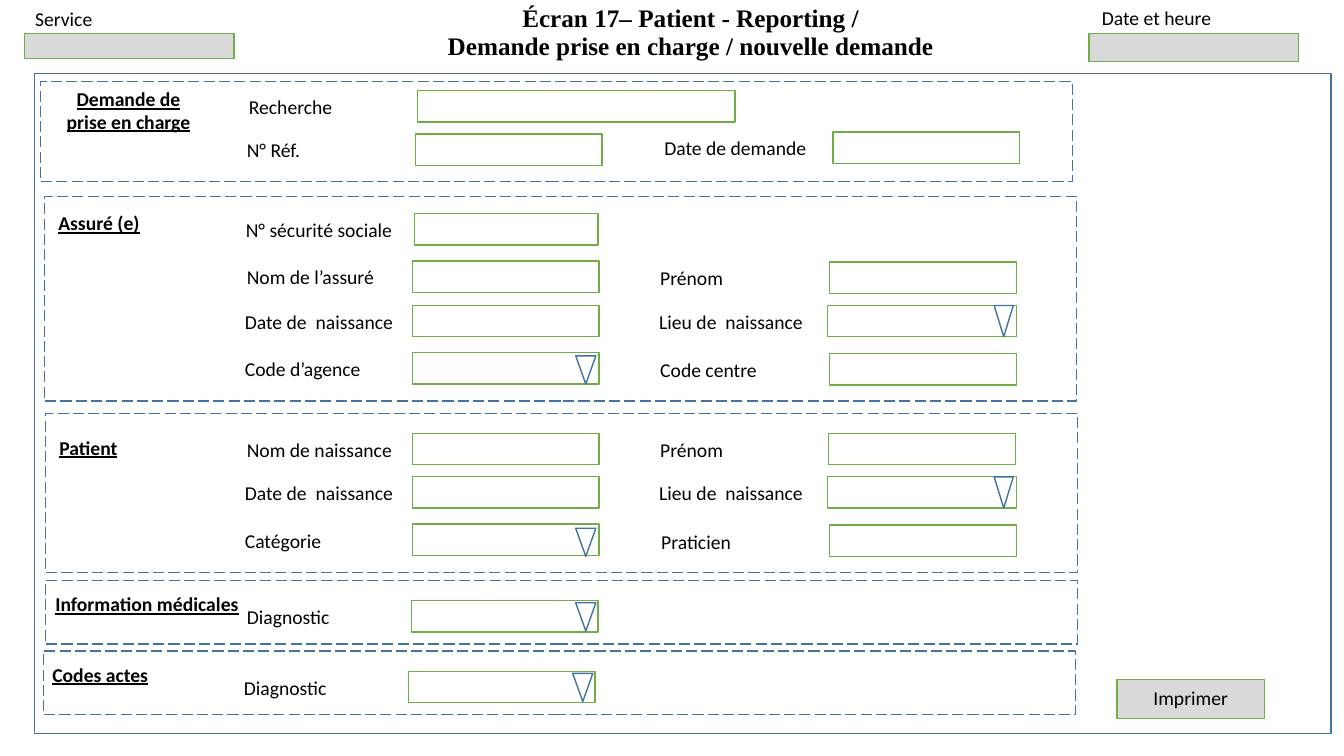
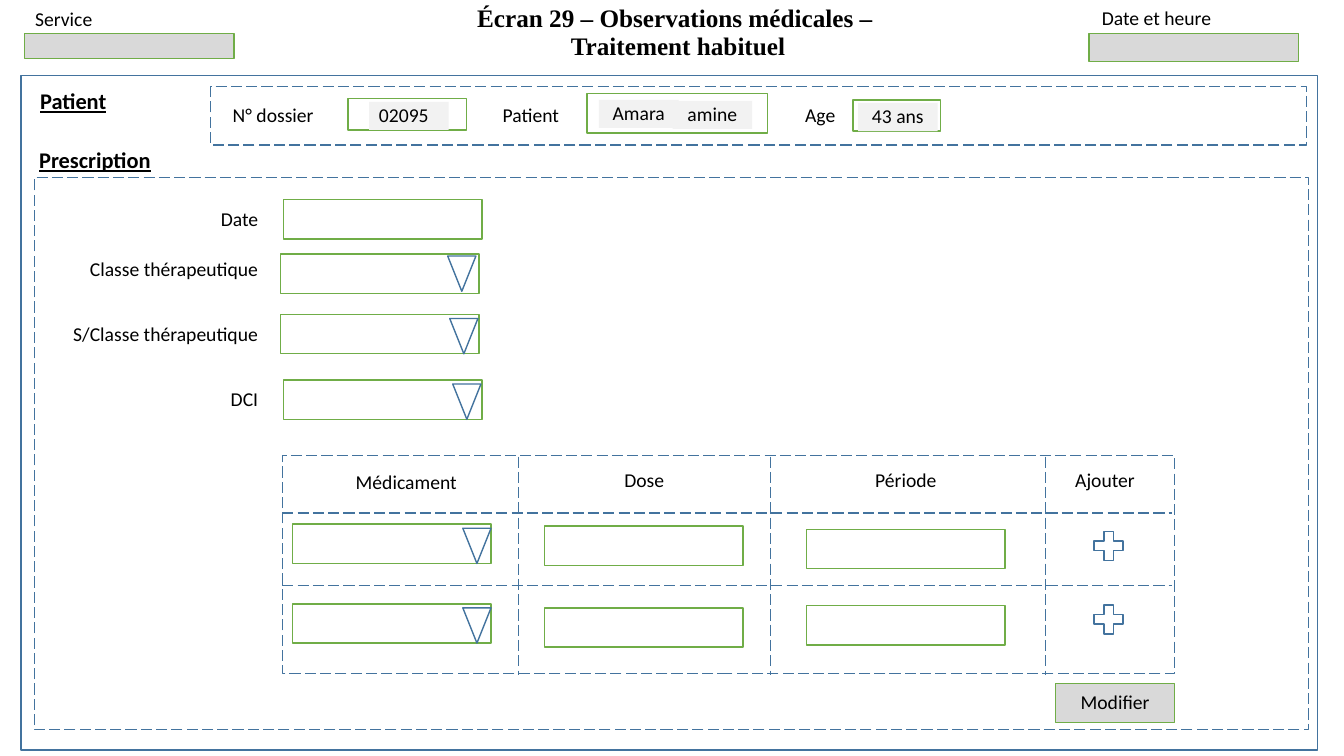
from pptx import Presentation
from pptx.dml.color import RGBColor as Rgb
from pptx.enum.dml import MSO_LINE as Dash
from pptx.enum.shapes import MSO_CONNECTOR as Link, MSO_SHAPE as Kind
from pptx.enum.text import MSO_ANCHOR as Anchor, PP_ALIGN as Align
from pptx.oxml.ns import qn
from pptx.util import Inches, Pt
from lxml import etree

GREEN, BLUE, GREY, PALE, BLACK = "70AD47", "43739E", "D9D9D9", "F2F2F2", "000000"
BODY, HEAD = "Calibri", "Times New Roman"
LEFT, MID, RIGHT = Align.LEFT, Align.CENTER, Align.RIGHT


def paint(color, code):
    """Set a colour format from a hex string."""
    color.rgb = Rgb.from_string(code)


def write(shape, text, align=LEFT, size=14, bold=False, under=False, face=BODY, anchor=Anchor.MIDDLE):
    """Put styled text in a shape."""
    frame = shape.text_frame
    frame.word_wrap = True
    frame.vertical_anchor = anchor
    frame.text = text
    for para in frame.paragraphs:
        para.alignment = align
        para.line_spacing = 0.95
        for run in para.runs:
            font = run.font
            font.name, font.size = face, Pt(size)
            font.bold, font.underline = bold, under
            paint(font.color, BLACK)


def label(slide, text, x, y, w, h=0.38, align=LEFT, **style):
    """Add a text box."""
    box = slide.shapes.add_textbox(Inches(x), Inches(y), Inches(w), Inches(h))
    write(box, text, align, **style)


def title(slide, text, x, w):
    """Add the screen title."""
    label(slide, text, x, 0.07, w, 0.59, MID, size=18, bold=True, face=HEAD, anchor=Anchor.BOTTOM)


def head(slide, text, x, y, w, h=0.38, align=LEFT, size=14):
    """Add an underlined section heading."""
    label(slide, text, x, y, w, h, align, size=size, bold=True, under=True)


def draw(slide, x, y, w, h, line=GREEN, fill=None, kind=Kind.RECTANGLE):
    """Add a preset shape with optional fill and line."""
    shape = slide.shapes.add_shape(kind, Inches(x), Inches(y), Inches(w), Inches(h))
    shape.shadow.inherit = False
    if fill:
        shape.fill.solid()
        paint(shape.fill.fore_color, fill)
    else:
        shape.fill.background()
    if line:
        paint(shape.line.color, line)
        shape.line.width = Pt(1)
    else:
        shape.line.fill.background()
    return shape


def group(slide, x, y, w, h):
    """Add a dashed section frame."""
    draw(slide, x, y, w, h, BLUE).line.dash_style = Dash.LONG_DASH


def rule(slide, x1, y1, x2, y2):
    """Add a dashed straight line."""
    line = slide.shapes.add_connector(Link.STRAIGHT, Inches(x1), Inches(y1), Inches(x2), Inches(y2))
    paint(line.line.color, BLUE)
    line.line.width = Pt(1)
    line.line.dash_style = Dash.LONG_DASH
    etree.SubElement(line._element.spPr, qn("a:effectLst"))


def arrow(slide, x, y, w, h):
    """Add the down arrow of a drop-down list."""
    draw(slide, x, y, w, h, BLUE, kind=Kind.ISOSCELES_TRIANGLE).rotation = 180


def field(slide, text, left, x, y, w=1.85):
    """Add an input box with its label on the left."""
    label(slide, text, left, y - 0.02, 1.77)
    draw(slide, x, y, w, 0.31)


def button(slide, text, x, y, w):
    """Add a grey push button."""
    write(draw(slide, x, y, w, 0.39, fill=GREY), text, MID)


def value(slide, text, x, y, align=MID):
    """Add a filled-in value."""
    write(draw(slide, x, y, 0.79, 0.28, None, PALE), text, align)


def screen(deck, name, x, w, frame):
    """Start a slide with the shared header and frame."""
    slide = deck.slides.add_slide(deck.slide_layouts[6])
    title(slide, name, x, w)
    draw(slide, *frame, BLUE)
    label(slide, "Service", 0.25, 0.03, 1.4, 0.34)
    draw(slide, 0.24, 0.33, 2.08, 0.25, fill=GREY)
    label(slide, "Date et heure", 10.83, 0.02, 1.4, 0.34)
    draw(slide, 10.8, 0.33, 2.08, 0.28, fill=GREY)
    return slide


def claim(deck):
    """Build the care request screen."""
    slide = screen(deck, "Écran 17– Patient - Reporting /\vDemande prise en charge / nouvelle demande",
                   4.06, 5.58, (0.34, 0.73, 12.86, 6.55))
    for x, y, h in [(0.4, 0.81, 0.99), (0.44, 1.95, 2.03), (0.45, 4.1, 1.58),
                    (0.45, 5.76, 0.63), (0.43, 6.46, 0.63)]:
        group(slide, x, y, 10.24, h)
    head(slide, "Demande de prise en charge", 0.45, 0.84, 1.65, 0.53, MID)
    for text, x, y in [("Assuré (e)", 0.48, 2.03), ("Patient", 0.49, 4.26),
                       ("Information médicales", 0.45, 5.81), ("Codes actes", 0.42, 6.51)]:
        head(slide, text, x, y, 2.21)
    for row in [
        ("Recherche", 2.37, 4.14, 0.9, 3.15),
        ("N° Réf.", 2.35, 4.12, 1.33),
        ("Date de demande", 6.49, 8.26, 1.31),
        ("N° sécurité sociale", 2.34, 4.11, 2.12, 1.82),
        ("Nom de l’assuré", 2.35, 4.09, 2.59),
        ("Prénom", 6.45, 8.23, 2.6),
        ("Code d’agence", 2.33, 4.09, 3.5),
        ("Code centre", 6.45, 8.23, 3.51),
        ("Nom de naissance", 2.35, 4.09, 4.3),
        ("Prénom", 6.45, 8.22, 4.3),
        ("Catégorie", 2.33, 4.09, 5.2),
        ("Praticien", 6.46, 8.23, 5.21),
        ("Diagnostic", 2.35, 4.08, 5.96),
        ("Diagnostic", 2.32, 4.05, 6.66),
    ]:
        field(slide, *row)
    for y in (3.03, 4.73):
        field(slide, "Date de  naissance", 2.33, 4.09, y)
        field(slide, "Lieu de  naissance", 6.44, 8.21, y, 1.87)
        arrow(slide, 9.86, y, 0.19, 0.31)
    for x, y in [(5.71, 3.53), (5.71, 5.24), (5.71, 5.98), (5.68, 6.68)]:
        arrow(slide, x, y, 0.2, 0.28)
    button(slide, "Imprimer", 11.08, 6.74, 1.46)


def grid(slide):
    """Build the drug entry grid."""
    group(slide, 2.8, 4.52, 8.85, 2.16)
    for x in (5.14, 7.64, 10.37):
        rule(slide, x, 4.53, x, 6.7)
    for y in (5.09, 5.81):
        rule(slide, 2.8, y, 11.62, y)
    for text, x, y, w in [("Médicament", 3.35, 4.59, 1.36), ("Dose", 5.8, 4.57, 1.18),
                          ("Période", 8.2, 4.57, 1.57), ("Ajouter", 10.47, 4.57, 0.98)]:
        label(slide, text, x, y, w, 0.39, MID)
    for drug, dose, span, plus in [(5.2, 5.22, 5.25, 5.22), (5.99, 6.03, 6.01, 5.95)]:
        for x, y in [(2.9, drug), (5.4, dose), (8, span)]:
            draw(slide, x, y, 1.97, 0.39)
        arrow(slide, 4.59, drug + 0.04, 0.28, 0.35)
        draw(slide, 10.8, plus, 0.39, 0.39, BLUE, kind=Kind.MATH_PLUS)


def care(deck):
    """Build the usual treatment screen."""
    slide = screen(deck, "Écran 29 – Observations médicales – \nTraitement habituel",
                   3.45, 6.55, (0.21, 0.75, 12.86, 6.69))
    head(slide, "Patient", 0.3, 0.77, 1.18, 0.48, size=16)
    head(slide, "Prescription", 0.29, 1.41, 1.4, 0.37, size=16)
    group(slide, 2.09, 0.86, 10.87, 0.58)
    group(slide, 0.34, 1.76, 12.64, 5.48)
    for text, x, w in [("N° dossier", 2.15, 1.12), ("Patient", 4.74, 1.05), ("Age", 7.83, 0.61)]:
        label(slide, text, x, 0.93, w, 0.43, MID)
    for box in [(3.45, 0.98, 1.18, 0.31), (5.82, 0.93, 1.79, 0.39), (8.46, 0.99, 0.87, 0.31)]:
        draw(slide, *box)
    value(slide, "02095", 3.66, 1.01, LEFT)
    for text, x, y in [("Amara", 5.94, 0.99), ("amine", 6.67, 1), ("43 ans", 8.51, 1.02)]:
        value(slide, text, x, y)
    for text, top, x, y in [("Date", 1.99, 2.81, 1.98), ("Classe thérapeutique", 2.49, 2.78, 2.52),
                            ("S/Classe thérapeutique", 3.13, 2.78, 3.12), ("DCI", 3.78, 2.81, 3.77)]:
        label(slide, text, 0.46, top, 2.2, align=RIGHT)
        draw(slide, x, y, 1.97, 0.39)
    for x, y in [(4.44, 2.54), (4.46, 3.16), (4.49, 3.81)]:
        arrow(slide, x, y, 0.28, 0.35)
    grid(slide)
    button(slide, "Modifier", 10.47, 6.78, 1.18)


def main():
    """Build and save the deck."""
    deck = Presentation()
    deck.slide_width, deck.slide_height = Inches(13.33), Inches(7.5)
    claim(deck)
    care(deck)
    deck.save("out.pptx")


if __name__ == "__main__":
    main()
